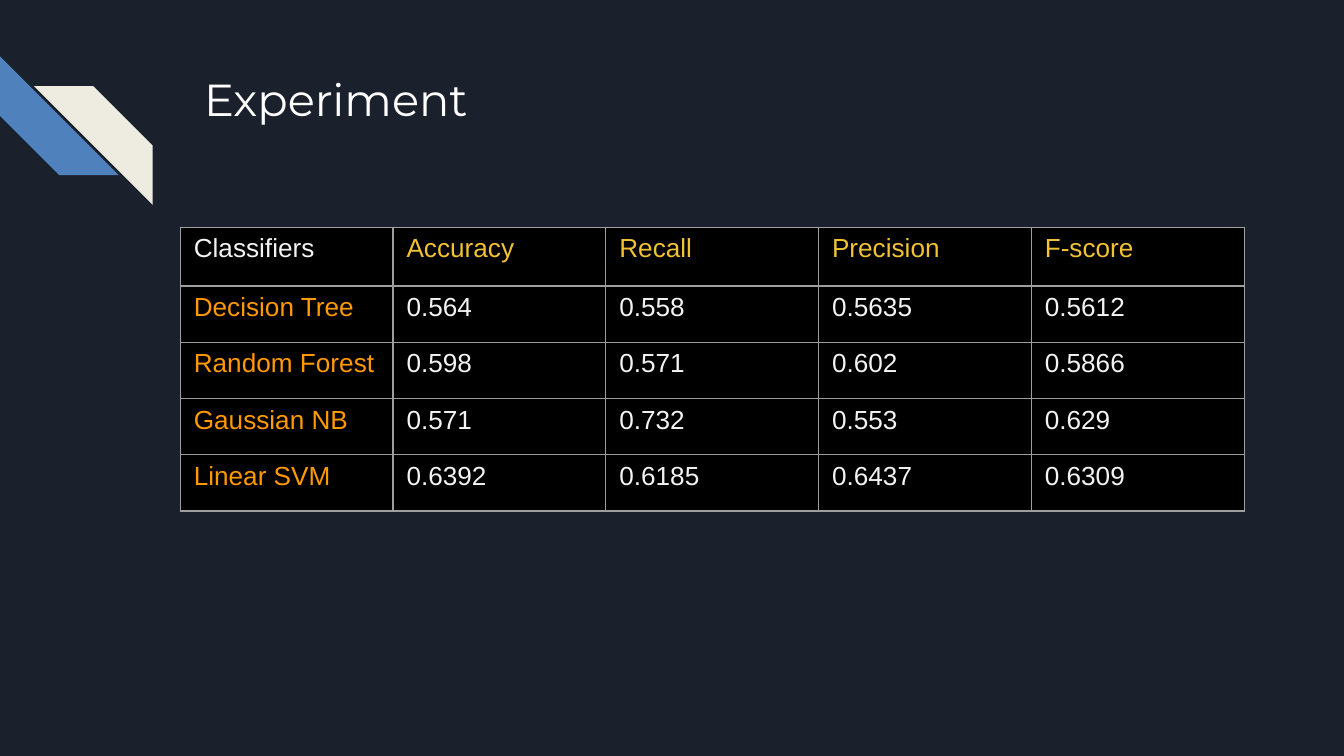
from dataclasses import dataclass
from pptx import Presentation
from pptx.dml.color import RGBColor
from pptx.enum import shapes, text
from pptx.oxml import parse_xml
from pptx.oxml.ns import nsdecls
from pptx.util import Pt


@dataclass(frozen=True)
class Theme:
    back: str = "1B212C"
    blue: str = "4F81BD"
    cream: str = "EEECE1"
    white: str = "FFFFFF"
    cell: str = "000000"
    rule: str = "9E9E9E"
    pale: str = "F3F3F3"
    gold: str = "F1C232"
    orange: str = "FF9900"
    head: str = "Montserrat"
    body: str = "Arial"
    big: int = 24
    small: int = 14


T = Theme()
ROWS = (
    ("Classifiers", "Accuracy", "Recall", "Precision", "F-score"),
    ("Decision Tree", "0.564", "0.558", "0.5635", "0.5612"),
    ("Random Forest", "0.598", "0.571", "0.602", "0.5866"),
    ("Gaussian NB", "0.571", "0.732", "0.553", "0.629"),
    ("Linear SVM", "0.6392", "0.6185", "0.6437", "0.6309"),
)


def paint(fill, color):
    fill.solid()
    fill.fore_color.rgb = RGBColor.from_string(color)


def style(frame, words, face, size, color):
    frame.text = words
    para = frame.paragraphs[0]
    para.alignment = text.PP_ALIGN.LEFT
    para.font.name = face
    para.font.size = Pt(size)
    para.font.color.rgb = RGBColor.from_string(color)


def stripe(slide, left, top, turn, color):
    band = slide.shapes.add_shape(
        shapes.MSO_SHAPE.DIAGONAL_STRIPE, Pt(left), Pt(top), Pt(63.6), Pt(63.6))
    band.adjustments[0] = 0.5
    band.rotation = turn
    band.shadow.inherit = False
    band.line.fill.background()
    paint(band.fill, color)


def title(slide, words):
    box = slide.shapes.title
    box.left, box.top, box.width, box.height = Pt(102.2), Pt(31), Pt(554.4), Pt(72)
    frame = box.text_frame
    frame.margin_left = frame.margin_right = Pt(7.2)
    frame.margin_top = frame.margin_bottom = Pt(7.2)
    frame.vertical_anchor = text.MSO_ANCHOR.TOP
    frame.auto_size = text.MSO_AUTO_SIZE.NONE
    frame.word_wrap = True
    style(frame, words, T.head, T.big, T.white)


def border(cell):
    props = cell._tc.get_or_add_tcPr()
    for i, side in enumerate(("lnL", "lnR", "lnT", "lnB")):
        props.insert(i, parse_xml(
            f'<a:{side} {nsdecls("a")} w="{Pt(0.75)}"><a:solidFill>'
            f'<a:srgbClr val="{T.rule}"/></a:solidFill></a:{side}>'))


def tint(row, col):
    if row and col:
        return T.pale
    if row:
        return T.orange
    return T.gold if col else T.pale


def table(slide, rows):
    wide, first, rest = 114, 31.6, 30.15
    count = len(rows[0])
    high = first + rest * (len(rows) - 1)
    grid = slide.shapes.add_table(
        len(rows), count, Pt(96.6), Pt(121.7), Pt(wide * count), Pt(high)).table
    for col in grid.columns:
        col.width = Pt(wide)
    for r, row in enumerate(rows):
        grid.rows[r].height = Pt(rest if r else first)
        for c, words in enumerate(row):
            cell = grid.cell(r, c)
            cell.margin_left = cell.margin_right = Pt(7.2)
            cell.margin_top = cell.margin_bottom = Pt(3.6)
            paint(cell.fill, T.cell)
            border(cell)
            style(cell.text_frame, words, T.body, T.small, tint(r, c))


def main():
    deck = Presentation()
    deck.slide_width, deck.slide_height = Pt(720), Pt(405)
    slide = deck.slides.add_slide(deck.slide_layouts[5])
    paint(slide.background.fill, T.back)
    stripe(slide, 0, 30.2, 270, T.blue)
    stripe(slide, 18.2, 46.2, 90, T.cream)
    title(slide, "Experiment")
    table(slide, ROWS)
    deck.save("out.pptx")


main()
